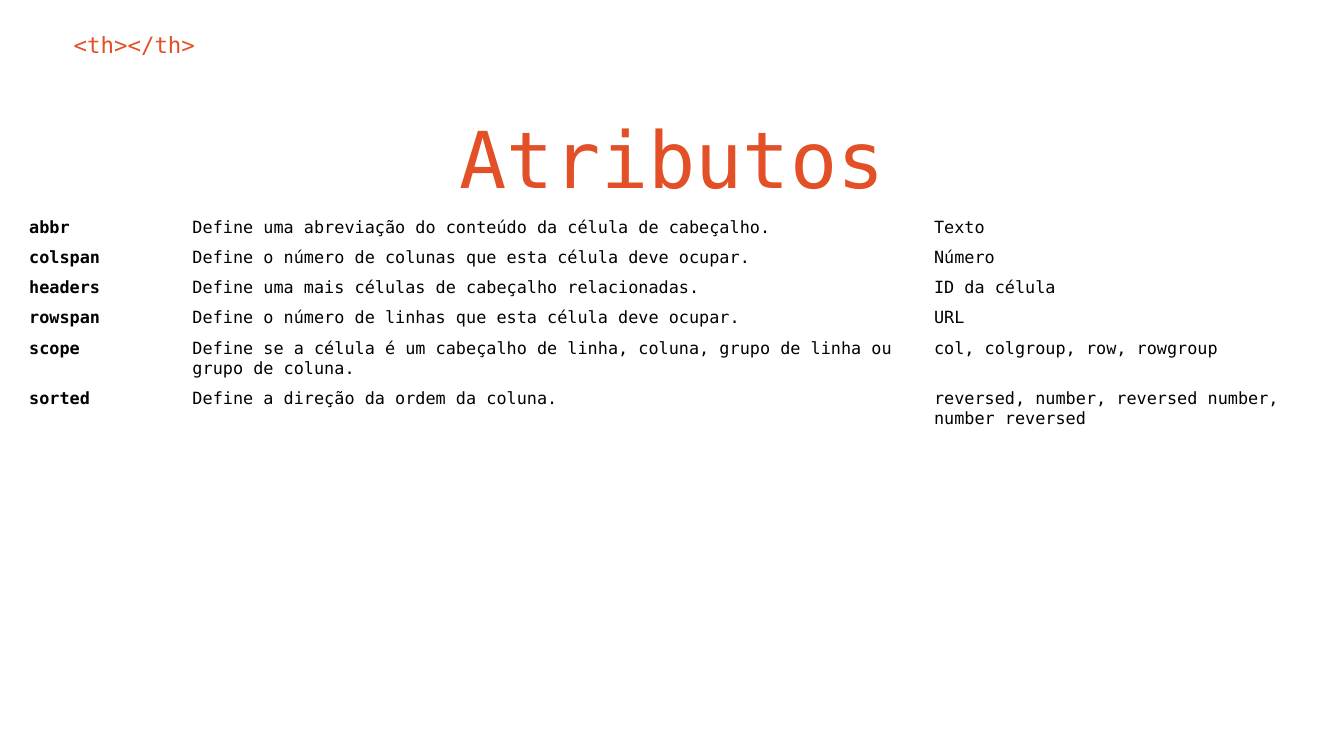
"""Build a slide listing the attributes of the HTML th element."""
from dataclasses import dataclass

from pptx import Presentation
from pptx import util as u
from pptx.dml import color
from pptx.enum import text

PX = 2286


@dataclass(frozen=True)
class Theme:
    font: str = "DejaVu Sans Mono"
    accent: str = "E34F26"
    ink: str = "000000"
    tag_size: int = 12
    title_size: int = 42
    table_size: int = 9


@dataclass(frozen=True)
class Heading:
    words: str
    left: int
    top: int
    width: int
    height: int
    size: int
    align: text.PP_ALIGN


@dataclass(frozen=True)
class Attribute:
    name: str
    meaning: str
    value: str


THEME = Theme()
COLUMNS = (486, 2207, 1116)
ROW_HEIGHT = 80
FRAME_SIDE = 1312
CELL_INSET = 15
BOX_INSET = 40

HEADINGS = (
    Heading("<th></th>", 180, 52, 3672, 168, THEME.tag_size, text.PP_ALIGN.LEFT),
    Heading("Atributos", 286, 288, 3428, 344, THEME.title_size, text.PP_ALIGN.CENTER),
)

ATTRIBUTES = (
    Attribute("abbr", "Define uma abreviação do conteúdo da célula de cabeçalho.", "Texto"),
    Attribute("colspan", "Define o número de colunas que esta célula deve ocupar.", "Número"),
    Attribute("headers", "Define uma mais células de cabeçalho relacionadas.", "ID da célula"),
    Attribute("rowspan", "Define o número de linhas que esta célula deve ocupar.", "URL"),
    Attribute(
        "scope",
        "Define se a célula é um cabeçalho de linha, coluna, grupo de linha ou grupo de coluna.",
        "col, colgroup, row, rowgroup",
    ),
    Attribute(
        "sorted",
        "Define a direção da ordem da coluna.",
        "reversed, number, reversed number, number reversed",
    ),
)


def px(length: int) -> u.Emu:
    return u.Emu(length * PX)


def set_insets(holder, inset: int) -> None:
    holder.margin_left = holder.margin_right = px(inset)
    holder.margin_top = holder.margin_bottom = px(inset)


def write(frame, words: str, size: int, ink: str, bold: bool = False):
    para = frame.paragraphs[0]
    para.text = words
    para.font.name = THEME.font
    para.font.size = u.Pt(size)
    para.font.bold = bold
    para.font.color.rgb = color.RGBColor.from_string(ink)
    return para


def draw_heading(page, heading: Heading) -> None:
    box = page.shapes.add_textbox(
        px(heading.left), px(heading.top), px(heading.width), px(heading.height)
    )
    box.text_frame.word_wrap = True
    set_insets(box.text_frame, BOX_INSET)
    para = write(box.text_frame, heading.words, heading.size, THEME.accent)
    para.alignment = heading.align


def draw_attributes(page, attributes: tuple[Attribute, ...], left: int, top: int) -> None:
    holder = page.shapes.add_table(
        len(attributes), len(COLUMNS), px(left), px(top), px(FRAME_SIDE), px(FRAME_SIDE)
    )
    table = holder.table
    table.first_row = table.horz_banding = False
    for column, width in zip(table.columns, COLUMNS):
        column.width = px(width)
    for row, attribute in zip(table.rows, attributes):
        row.height = px(ROW_HEIGHT)
        entries = (attribute.name, attribute.meaning, attribute.value)
        for index, (cell, words) in enumerate(zip(row.cells, entries)):
            cell.fill.background()
            set_insets(cell, CELL_INSET)
            write(cell.text_frame, words, THEME.table_size, THEME.ink, bold=index == 0)
    holder.width = holder.height = px(FRAME_SIDE)


def main() -> None:
    deck = Presentation()
    deck.slide_width, deck.slide_height = px(4000), px(2250)
    page = deck.slides.add_slide(deck.slide_layouts[6])
    for heading in HEADINGS:
        draw_heading(page, heading)
    draw_attributes(page, ATTRIBUTES, left=72, top=632)
    deck.save("out.pptx")


if __name__ == "__main__":
    main()
